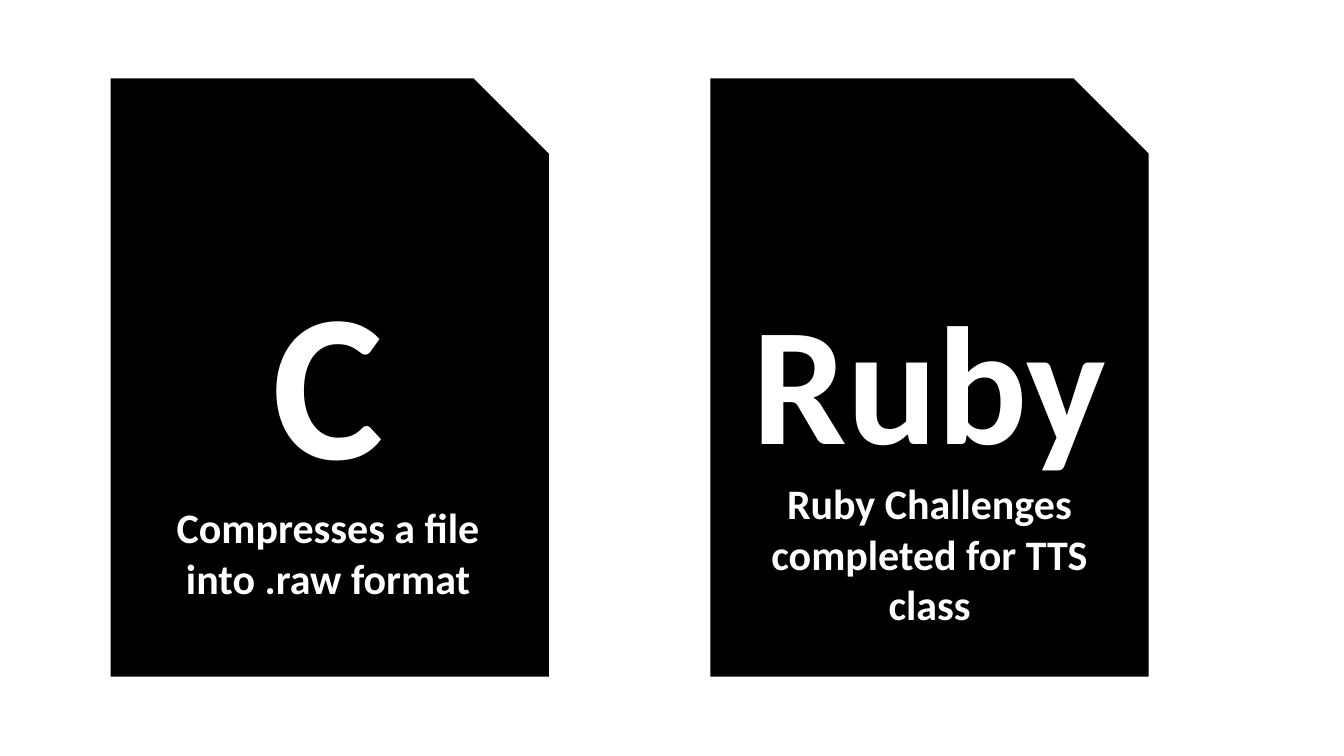
from dataclasses import dataclass

from lxml import etree
from pptx import Presentation
from pptx.dml.color import RGBColor
from pptx.enum.shapes import MSO_SHAPE
from pptx.enum.text import MSO_AUTO_SIZE, PP_ALIGN
from pptx.oxml.ns import qn
from pptx.util import Inches, Pt

SNIPPED = MSO_SHAPE.SNIP_1_RECTANGLE
TRIANGLE = MSO_SHAPE.ISOSCELES_TRIANGLE
CENTER = PP_ALIGN.CENTER
GROW = MSO_AUTO_SIZE.SHAPE_TO_FIT_TEXT


@dataclass(frozen=True)
class Theme:
    """Colours, font and type sizes of the slide."""
    ink: RGBColor = RGBColor(0, 0, 0)
    paper: RGBColor = RGBColor(255, 255, 255)
    font: str = "Calibri"
    caption_size: int = 30
    outline: float = 13.5


@dataclass(frozen=True)
class Box:
    """A rectangle in inches."""
    left: float
    top: float
    width: float
    height: float

    def lengths(self):
        """Return the four lengths in slide units."""
        return [Inches(value) for value in (self.left, self.top, self.width, self.height)]

    def inner(self, left, top, width, height):
        """Return a box placed relative to this one."""
        return Box(self.left + left, self.top + top, width, height)


THEME = Theme()
SLIDE_WIDTH, SLIDE_HEIGHT = 13.33, 7.5
FIRST_CARD = Box(1.19, 0.87, 4.16, 5.75)
CARD_STEP = 5.95
FOLD = (3.22, 0.13, 0.68, 0.65)
FOLD_ANGLE = 342.2
CARDS = [
    ("C", 150, (0.14, 1.56, 3.85, 3.64), "Compresses a file into .raw format"),
    ("Ruby", 120, (0.14, 1.82, 3.88, 3.64), "Ruby Challenges completed for TTS class"),
]


def add_outlined(page, kind, box):
    """Draw a shape with a sharp ink outline and no fill."""
    shape = page.shapes.add_shape(kind, *box.lengths())
    shape.shadow.inherit = False
    shape.fill.background()
    shape.line.color.rgb = THEME.ink
    shape.line.width = Pt(THEME.outline)
    outline = shape.line._get_or_add_ln()
    etree.SubElement(outline, qn("a:miter"), lim="800000")
    return shape


def add_file_shape(page, box):
    """Draw a filled sheet with a fold at its snipped corner."""
    sheet = add_outlined(page, SNIPPED, box)
    sheet.fill.solid()
    sheet.fill.fore_color.rgb = THEME.ink
    fold = add_outlined(page, TRIANGLE, box.inner(*FOLD))
    fold.rotation = FOLD_ANGLE


def add_label(page, box, lines):
    """Write centred bold lines, each with its own size."""
    label = page.shapes.add_textbox(*box.lengths())
    frame = label.text_frame
    frame.word_wrap = True
    frame.auto_size = GROW
    frame.text = "\n".join(text for text, size in lines)
    for para, (text, size) in zip(frame.paragraphs, lines):
        para.alignment = CENTER
        font = para.runs[0].font
        font.name = THEME.font
        font.size = Pt(size)
        font.bold = True
        font.color.rgb = THEME.paper


def add_card(page, box, name, name_size, text_place, caption):
    """Place one file card with its language name and caption."""
    add_file_shape(page, box)
    lines = [(name, name_size), (caption, THEME.caption_size)]
    add_label(page, box.inner(*text_place), lines)


def main():
    """Build the slide and save the deck."""
    deck = Presentation()
    deck.slide_width, deck.slide_height = Inches(SLIDE_WIDTH), Inches(SLIDE_HEIGHT)
    page = deck.slides.add_slide(deck.slide_layouts[6])
    page.background.fill.solid()
    page.background.fill.fore_color.rgb = THEME.paper
    for column, card in enumerate(CARDS):
        box = FIRST_CARD.inner(column * CARD_STEP, 0, FIRST_CARD.width, FIRST_CARD.height)
        add_card(page, box, *card)
    deck.save("out.pptx")


if __name__ == "__main__":
    main()
